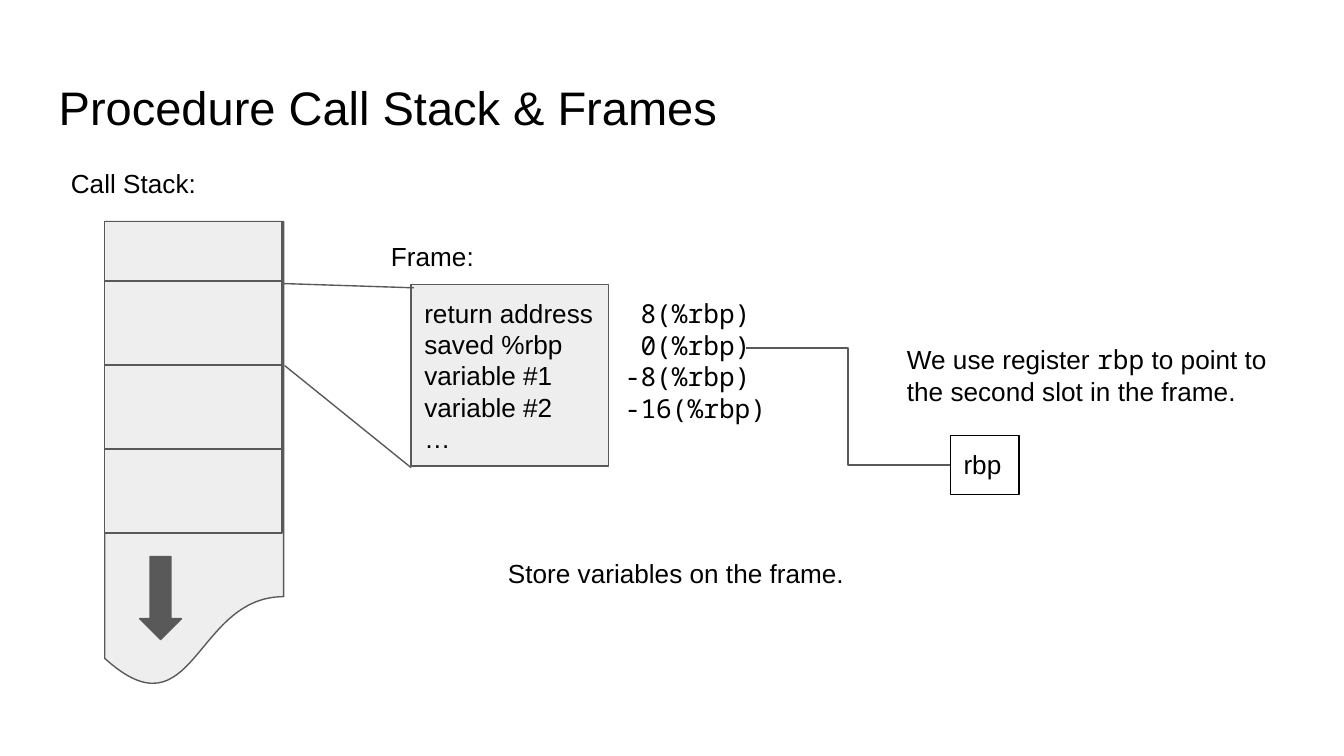
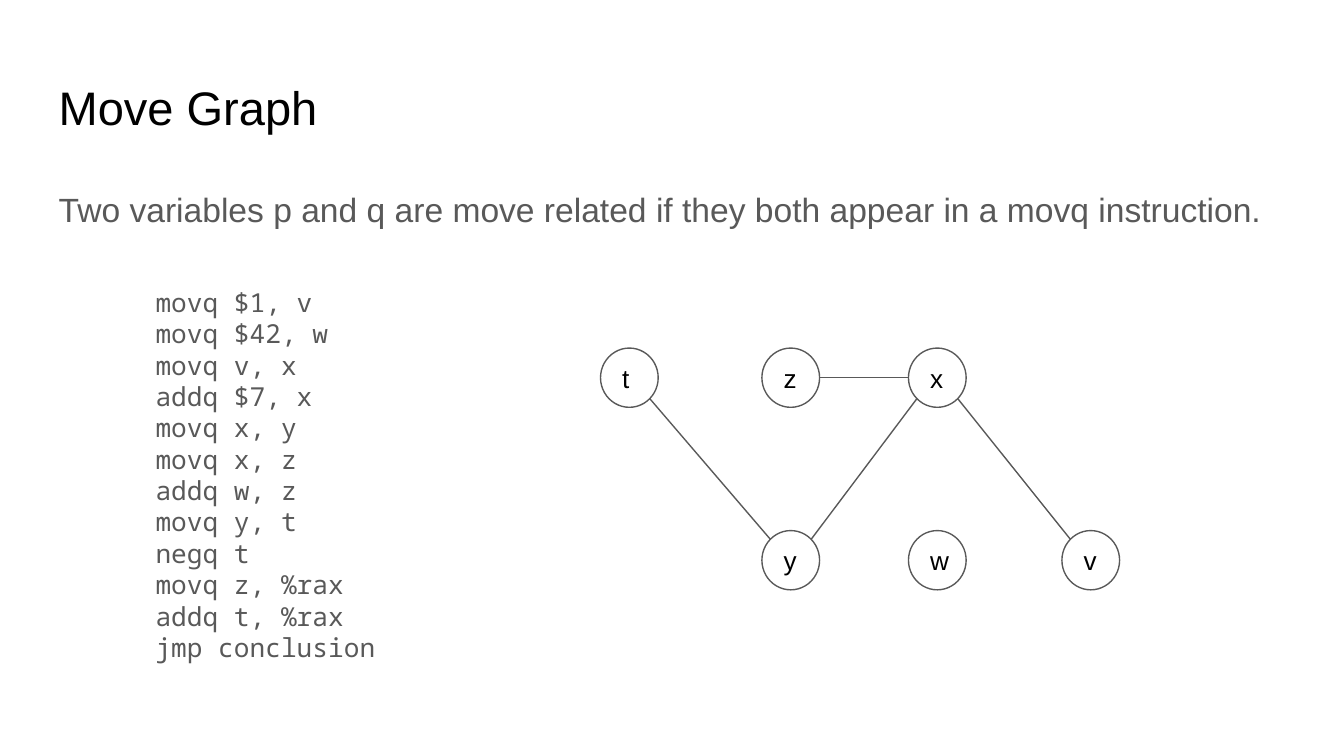
from lxml.etree import SubElement
from pptx import Presentation
from pptx.dml.color import RGBColor
from pptx.enum.shapes import MSO_CONNECTOR, MSO_SHAPE
from pptx.enum.text import MSO_ANCHOR, MSO_AUTO_SIZE, PP_ALIGN
from pptx.oxml.ns import qn
from pptx.util import Cm, Pt

BLACK, GREY, PALE = "000000", "595959", "EEEEEE"
SANS, MONO = "Arial", "Noto Sans Mono"
LINE_WIDTH = Pt(0.75)


def color(value):
    return RGBColor.from_string(value)


def set_formats(target, formats):
    for name, value in formats.items():
        setattr(target, name, value)


class Slides:
    """Holds the deck, its style and the page being drawn."""

    def __init__(self):
        self.deck = Presentation()
        set_formats(self.deck, {"slide_width": Cm(25.4), "slide_height": Cm(14.29)})
        self.page = None

    def new_page(self, title):
        self.page = self.deck.slides.add_slide(self.deck.slide_layouts[6])
        self.text(0.86, 1.24, 23.67, 1.6, [title], size=25.2)

    def fill_text(self, box, lines, size=14, ink=BLACK, font=SANS,
                  anchor=MSO_ANCHOR.TOP, grow=False, spacing=1.0):
        """Fill a box; each line is a string or a list of (text, font) spans."""
        frame = box.text_frame
        set_formats(frame, {
            "word_wrap": True,
            "vertical_anchor": anchor,
            "auto_size": MSO_AUTO_SIZE.SHAPE_TO_FIT_TEXT if grow else MSO_AUTO_SIZE.NONE,
        })
        for side in ("left", "top", "right", "bottom"):
            setattr(frame, f"margin_{side}", Cm(0.25))
        for index, line in enumerate(lines):
            para = frame.add_paragraph() if index else frame.paragraphs[0]
            set_formats(para, {"alignment": PP_ALIGN.LEFT, "line_spacing": spacing})
            spans = [(line, font)] if isinstance(line, str) else line
            for words, face in spans:
                span = para.add_run()
                span.text = words
                set_formats(span.font, {"name": face, "size": Pt(size)})
                span.font.color.rgb = color(ink)

    def text(self, left, top, width, height, lines, **style):
        box = self.page.shapes.add_textbox(Cm(left), Cm(top), Cm(width), Cm(height))
        self.fill_text(box, lines, **style)
        return box

    def shape(self, kind, left, top, width, height, fill=None, line=GREY,
              lines=None, **style):
        box = self.page.shapes.add_shape(kind, Cm(left), Cm(top), Cm(width), Cm(height))
        box.shadow.inherit = False
        if fill:
            box.fill.solid()
            box.fill.fore_color.rgb = color(fill)
        else:
            box.fill.background()
        box.line.color.rgb = color(line)
        box.line.width = LINE_WIDTH
        if lines:
            self.fill_text(box, lines, **style)
        return box

    def connector(self, start, end, kind=MSO_CONNECTOR.STRAIGHT):
        link = self.page.shapes.add_connector(kind, *map(Cm, (*start, *end)))
        link.line.color.rgb = color(GREY)
        link.line.width = LINE_WIDTH
        SubElement(link._element.spPr, qn("a:effectLst"))
        return link


def draw_call_stack(slides):
    slides.new_page("Procedure Call Stack & Frames")
    slides.shape(MSO_SHAPE.FLOWCHART_DOCUMENT, 1.98, 4.19, 3.38, 8.84, PALE)
    top = 4.19
    for height in (1.12, 1.59, 1.59, 1.59):
        slides.shape(MSO_SHAPE.RECTANGLE, 1.98, top, 3.35, height, PALE)
        top += height

    slides.shape(MSO_SHAPE.RECTANGLE, 7.77, 5.38, 3.73, 3.43, PALE,
                 lines=["return address", "saved %rbp", "variable #1", "variable #2", "…"],
                 anchor=MSO_ANCHOR.MIDDLE)
    slides.connector((5.36, 5.36), (7.82, 5.44))
    slides.connector((5.38, 6.91), (7.77, 8.84))
    slides.text(11.56, 5.38, 3.25, 3.51,
                [" 8(%rbp)", " 0(%rbp)", "-8(%rbp)", "-16(%rbp)"], font=MONO, grow=True)
    slides.text(16.89, 6.25, 7.34, 1.7,
                [[("We use register ", SANS), ("rbp", MONO),
                  (" to point to the second slot in the frame.", SANS)]], grow=True)
    slides.shape(MSO_SHAPE.DOWN_ARROW, 2.64, 10.52, 0.79, 1.57, GREY)

    for label, left, top, width in (
        ("Store variables on the frame.", 9.35, 10.29, 6.99),
        ("Frame:", 7.14, 4.29, 2.41),
        ("Call Stack:", 1.09, 2.92, 3.02),
    ):
        slides.text(left, top, width, 1.12, [label], grow=True)

    register = slides.shape(MSO_SHAPE.RECTANGLE, 17.96, 8.23, 1.3, 1.12,
                            line=BLACK, lines=["rbp"], grow=True)
    pointer = slides.connector((17.96, 8.79), (14.1, 6.58), MSO_CONNECTOR.ELBOW)
    pointer.begin_connect(register, 1)


def draw_move_graph(slides):
    slides.new_page("Move Graph")
    slides.text(0.86, 3.2, 23.67, 1.6,
                ["Two variables p and q are move related if they both appear"
                 " in a movq instruction."], size=18, ink=GREY, spacing=1.15)

    width, height, upper, lower = 1.09, 1.12, 6.58, 10.03
    nodes = {"t": (11.35, upper), "z": (14.4, upper), "x": (17.17, upper),
             "y": (14.4, lower), "w": (17.17, lower), "v": (20.07, lower)}

    def rim(name, across, down):
        """Point on a node's outline, towards -1, 0 or 1 on each axis."""
        left, top = nodes[name]
        reach = 0.5 / (across ** 2 + down ** 2) ** 0.5
        return (left + width * (0.5 + across * reach),
                top + height * (0.5 + down * reach))

    for first, second in ("ty", "xy", "xv", "zx"):
        across = 1 if nodes[second][0] > nodes[first][0] else -1
        down = 1 if nodes[second][1] > nodes[first][1] else 0
        slides.connector(rim(first, across, down), rim(second, -across, -down))
    for name, (left, top) in nodes.items():
        slides.shape(MSO_SHAPE.OVAL, left, top, width, height,
                     lines=[name], anchor=MSO_ANCHOR.MIDDLE)

    slides.text(2.69, 5.16, 8.31, 8.36,
                ["movq $1, v", "movq $42, w", "movq v, x", "addq $7, x",
                 "movq x, y", "movq x, z", "addq w, z", "movq y, t", "negq t",
                 "movq z, %rax", "addq t, %rax", "jmp conclusion"],
                ink=GREY, font=MONO)


def main():
    slides = Slides()
    draw_call_stack(slides)
    draw_move_graph(slides)
    slides.deck.save("out.pptx")


if __name__ == "__main__":
    main()
